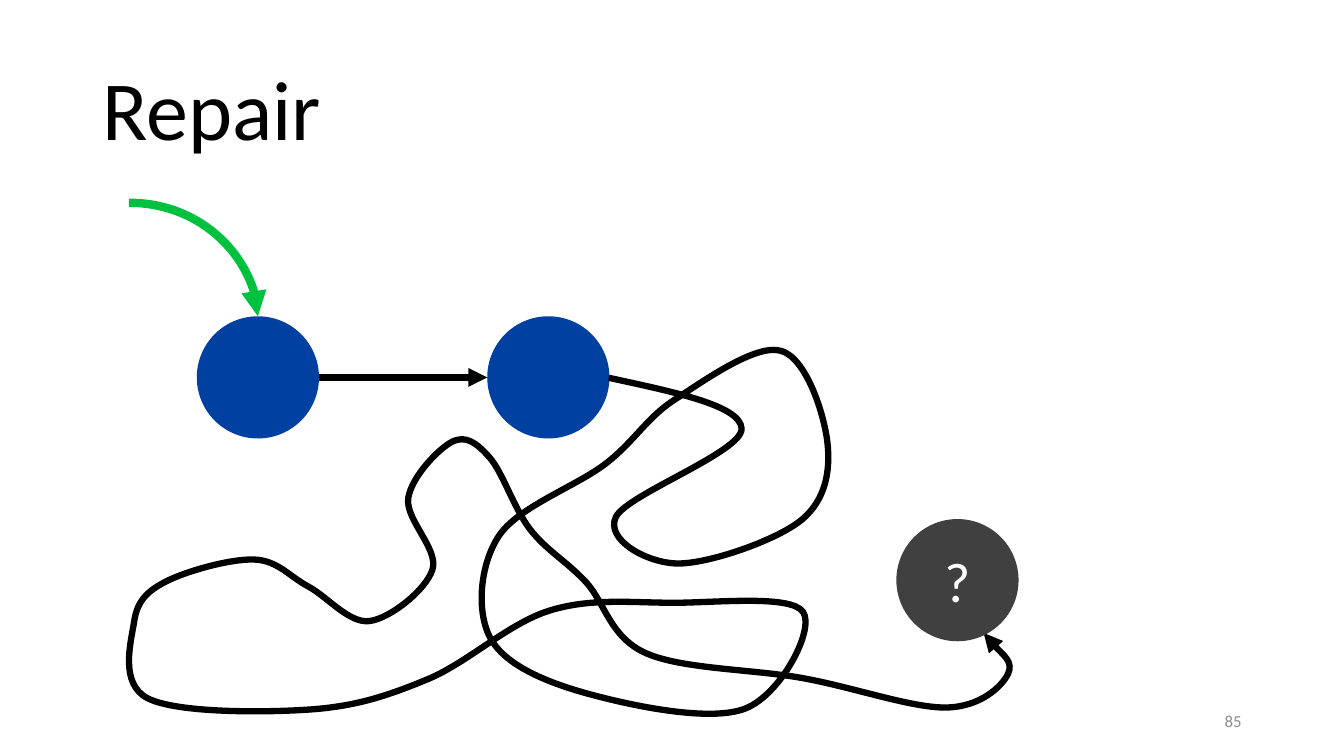
import pptx
import pptx.util
import pptx.dml.color
import pptx.enum.shapes
import pptx.enum.text
import pptx.oxml
import pptx.oxml.ns
import pptx.oxml.xmlchemy

Cm = pptx.util.Cm
ALIGN = pptx.enum.text.PP_ALIGN
CONNECTOR = pptx.enum.shapes.MSO_CONNECTOR
qn = pptx.oxml.ns.qn
new_element = pptx.oxml.xmlchemy.OxmlElement

BLUE, GRAY, GREEN, BLACK = "0040A0", "404040", "00C040", "000000"
DIAMETER = 3.08
NODE_TOP = 7.97
NODE_LEFTS = (4.96, 12.28)

# Points in centimetres that the tangled path runs through
TANGLE = [
    (15.34, 9.52), (18.69, 10.8), (15.52, 13.03), (17.07, 14.2), (20.19, 13.11),
    (20.85, 11.13), (19.68, 8.84), (17.02, 10.06), (15.27, 11.68), (12.57, 13.51),
    (12.37, 16.1), (14.81, 17.48), (18.77, 17.86), (20.24, 15.42), (16.94, 15.19),
    (13.84, 15.39), (10.77, 17.12), (7.8, 17.88), (3.73, 17.6), (3.38, 15.67),
    (4.17, 14.66), (6.4, 14.1), (7.77, 14.78), (9.32, 15.65), (10.9, 14.35),
    (10.29, 12.55), (11.4, 11.13), (12.34, 11.53), (13.36, 13.34), (14.76, 14.66),
    (16.28, 16.46), (20.24, 17.09), (23.85, 17.83), (25.4, 16.99), (24.79, 15.95),
]
FIRST_HANDLE = (16.99, 9.88)


def rgb(hex_color):
    return pptx.dml.color.RGBColor.from_string(hex_color)


def set_text(sp, text, size, color, align):
    tf = sp.text_frame
    tf.word_wrap = True
    tf.vertical_anchor = pptx.enum.text.MSO_ANCHOR.MIDDLE
    tf.text = text
    p = tf.paragraphs[0]
    p.alignment = align
    font = p.runs[0].font
    font.name = "Calibri"
    font.size = pptx.util.Pt(size)
    font.color.rgb = rgb(color)
    return p


def add_label(slide, left, top, width, height, text, size, color, align):
    sp = slide.shapes.add_textbox(Cm(left), Cm(top), Cm(width), Cm(height))
    return set_text(sp, text, size, color, align)


def add_node(slide, left, top, color):
    sp = slide.shapes.add_shape(pptx.enum.shapes.MSO_SHAPE.OVAL,
                                Cm(left), Cm(top), Cm(DIAMETER), Cm(DIAMETER))
    sp.shadow.inherit = False
    sp.fill.solid()
    sp.fill.fore_color.rgb = rgb(color)
    sp.line.fill.background()
    return sp


def style_arrow(line, color, width):
    line.color.rgb = rgb(color)
    line.width = pptx.util.Pt(width)
    tail = new_element("a:tailEnd")
    tail.set("type", "triangle")
    line._get_or_add_ln().append(tail)


def add_arrow(slide, kind, start, end, color, width):
    cxn = slide.shapes.add_connector(kind, *map(Cm, start + end))
    style_arrow(cxn.line, color, width)
    spPr = cxn._element.spPr
    spPr.append(new_element("a:effectLst"))
    if kind == CONNECTOR.CURVE:
        spPr.find(qn("a:prstGeom")).set("prst", "curvedConnector2")


def add_curve(slide, points, first_handle, color, width):
    """Draw a smooth arrow whose tangents follow each point's neighbours."""
    emu = [(Cm(x), Cm(y)) for x, y in points]
    builder = slide.shapes.build_freeform(*emu[0])
    builder.add_line_segments(emu[1:], close=False)
    sp = builder.convert_to_shape()
    sp.shadow.inherit = False
    sp.fill.background()
    style_arrow(sp.line, color, width)

    last = len(emu) - 1
    segments = list(sp._element.spPr.iter(qn("a:lnTo")))
    for i, segment in enumerate(segments):
        before, a, b, after = (emu[min(max(k, 0), last)] for k in range(i - 1, i + 3))
        c1 = [a[k] + (b[k] - before[k]) / 6 for k in (0, 1)]
        c2 = [b[k] - (after[k] - a[k]) / 6 for k in (0, 1)]
        if i == 0:
            c1 = [Cm(v) for v in first_handle]
        curve = new_element("a:cubicBezTo")
        for x, y in (c1, c2, b):
            pt = new_element("a:pt")
            pt.set("x", str(round(x - sp.left)))
            pt.set("y", str(round(y - sp.top)))
            curve.append(pt)
        segment.getparent().replace(segment, curve)


def main():
    prs = pptx.Presentation()
    prs.slide_width, prs.slide_height = Cm(33.87), Cm(19.05)
    slide = prs.slides.add_slide(prs.slide_layouts[6])

    title = add_label(slide, 2.33, 1.01, 29.21, 3.68, "Repair", 60, BLACK, ALIGN.LEFT)
    title.line_spacing = 0.9
    add_label(slide, 23.92, 17.66, 7.62, 1.01, "85", 12, "8C8C8C", ALIGN.RIGHT)

    for left in NODE_LEFTS:
        add_node(slide, left, NODE_TOP, BLUE)
    first, second = NODE_LEFTS
    middle = NODE_TOP + DIAMETER / 2
    add_arrow(slide, CONNECTOR.STRAIGHT, (first + DIAMETER, middle), (second, middle),
              BLACK, 4.5)
    add_curve(slide, TANGLE, FIRST_HANDLE, BLACK, 4.5)
    unknown = add_node(slide, 22.59, 13.08, GRAY)
    set_text(unknown, "?", 40, "FFFFFF", ALIGN.CENTER)
    add_arrow(slide, CONNECTOR.CURVE, (3.25, 5.11), (first + DIAMETER / 2, NODE_TOP),
              GREEN, 6)

    prs.save("out.pptx")


if __name__ == "__main__":
    main()
